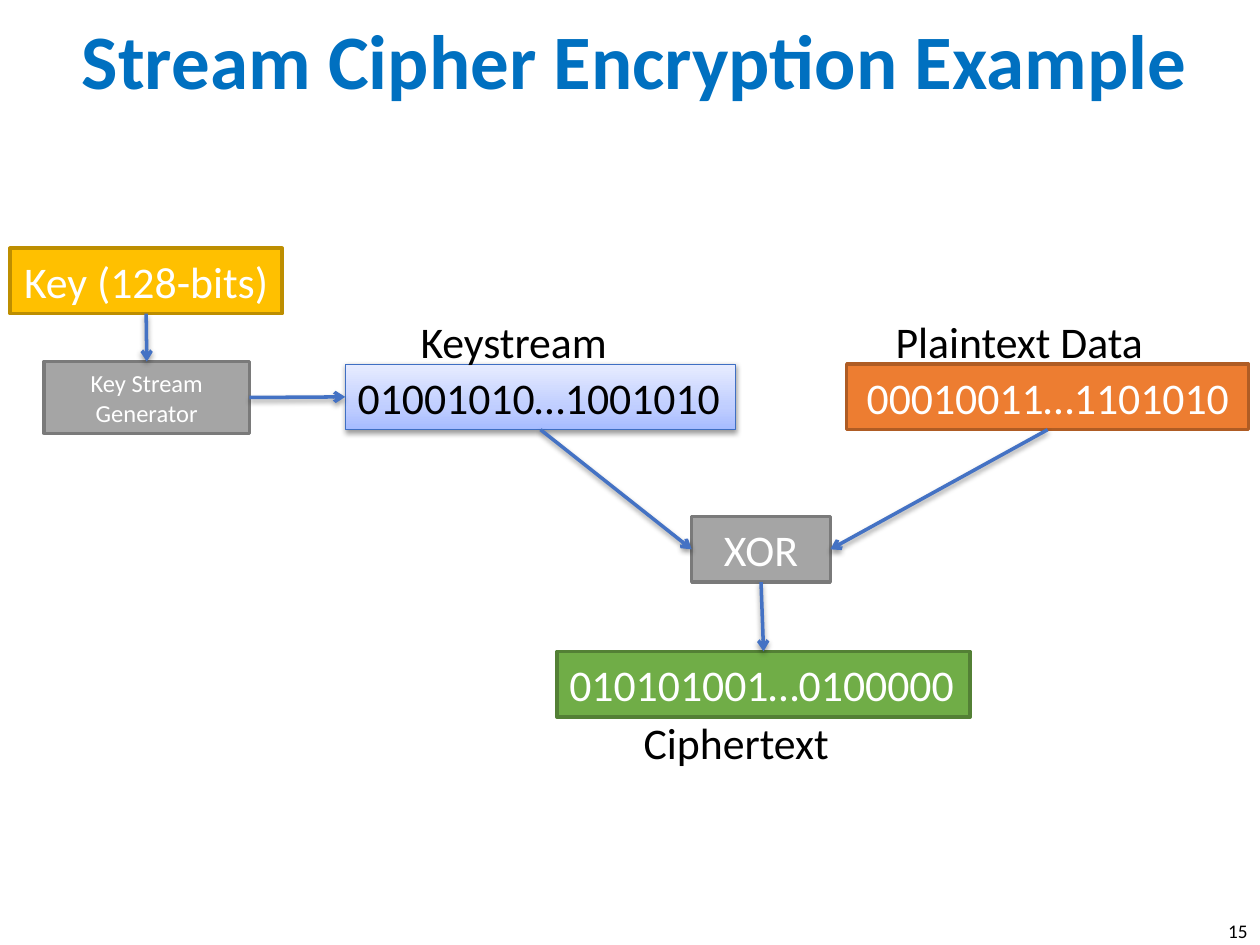
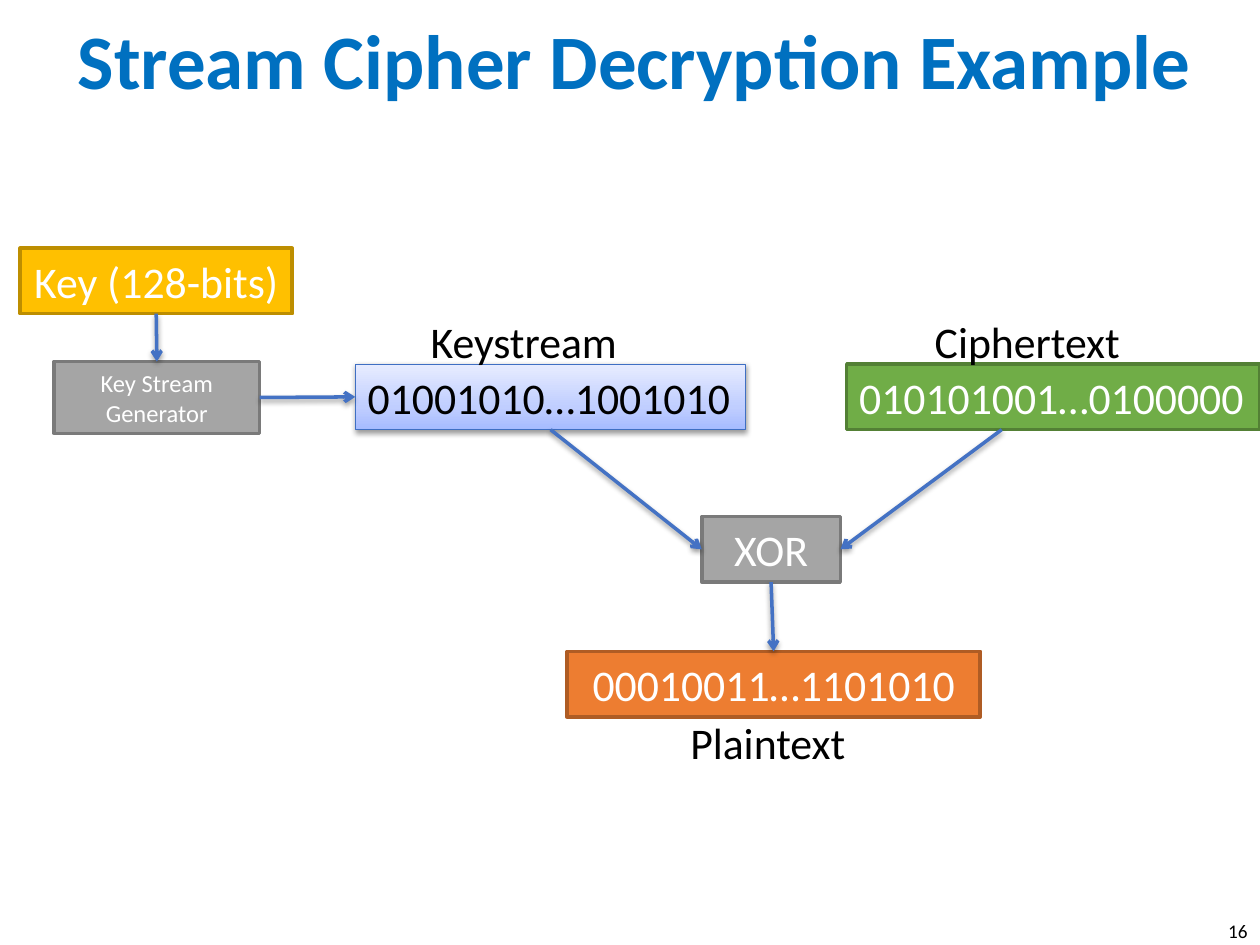
"""Build two slides that show a stream cipher encrypting and decrypting."""
from copy import deepcopy

from lxml import etree
from pptx import Presentation
from pptx.dml.color import RGBColor
from pptx.enum.shapes import MSO_CONNECTOR, MSO_SHAPE
from pptx.enum.text import MSO_ANCHOR, MSO_AUTO_SIZE, PP_ALIGN
from pptx.oxml.ns import qn
from pptx.util import Inches, Pt

LEFT, MID, RIGHT = PP_ALIGN.LEFT, PP_ALIGN.CENTER, PP_ALIGN.RIGHT
TOP, HALF = MSO_ANCHOR.TOP, MSO_ANCHOR.MIDDLE
GROW, FIXED = MSO_AUTO_SIZE.SHAPE_TO_FIT_TEXT, MSO_AUTO_SIZE.NONE
RECT, LINE = MSO_SHAPE.RECTANGLE, MSO_CONNECTOR.STRAIGHT
ABOVE, WEST, BELOW, EAST = range(4)

WIDE, HIGH = Inches(10), Inches(7.5)
COLS, ROWS = 100, 75
BAR = 5.2
GREY, GOLD = ("A5A5A5", "7A7A7A"), ("FFC000", "BD8E00")
ORANGE, GREEN = ("ED7D31", "AF5C24"), ("70AD47", "538035")
FADE = ((0, "A6BBFF"), (0.35, "C0CEFF"), (1, "E7ECFF"))
PLAIN = dict(text="00010011…1101010", hues=ORANGE, wrap=True)
CODED = dict(text="010101001…0100000", hues=GREEN, align=LEFT)


def rgb(hue):
    return RGBColor.from_string(hue)


def write(shape, text, size=25, hue="000000", bold=False, align=LEFT,
          anchor=TOP, wrap=False, fit=GROW):
    frame = shape.text_frame
    frame.word_wrap, frame.auto_size = wrap, fit
    frame.vertical_anchor = anchor
    para = frame.paragraphs[0]
    para.alignment = align
    run = para.add_run()
    run.text = text
    font = run.font
    font.name, font.size, font.bold = "Calibri", Pt(size), bold
    font.color.rgb = rgb(hue)


def shade(shape):
    props = shape._element.spPr
    effects = props.find(qn("a:effectLst"))
    if effects is None:
        effects = etree.SubElement(props, qn("a:effectLst"))
    drop = etree.SubElement(effects, qn("a:outerShdw"), blurRad="40000",
                            dist="20000", dir="5400000", rotWithShape="0")
    tint = etree.SubElement(drop, qn("a:srgbClr"), val="000000")
    etree.SubElement(tint, qn("a:alpha"), val="38000")


class Deck:
    """Hold the style, the grid and the current slide."""

    def __init__(self):
        self.show = Presentation()
        self.show.slide_width, self.show.slide_height = WIDE, HIGH
        self.slide = None

    def place(self, x, y, w=0, h=0):
        col, row = WIDE / COLS, HIGH / ROWS
        return [round(v) for v in (x * col, y * row, w * col, h * row)]

    def page(self, title, number):
        self.slide = self.show.slides.add_slide(self.show.slide_layouts[6])
        self.label(title, 2.5, 0.2, 95.8, 8.9, size=44, hue="0070C0",
                   bold=True, align=MID, anchor=HALF, wrap=True, fit=FIXED)
        self.label(str(number), 95.8, 72.5, 4.2, 2.4, size=11, align=RIGHT,
                   wrap=True, fit=FIXED)

    def label(self, text, x, y, w, h=BAR, **form):
        box = self.slide.shapes.add_textbox(*self.place(x, y, w, h))
        write(box, text, **form)

    def panel(self, x, y, w, h, edge, thick):
        box = self.slide.shapes.add_shape(RECT, *self.place(x, y, w, h))
        box.shadow.inherit = False
        box.line.color.rgb, box.line.width = rgb(edge), Pt(thick)
        return box

    def box(self, x, y, w, h=BAR, text="", hues=GREY, align=MID, **form):
        box = self.panel(x, y, w, h, hues[1], 2)
        box.fill.solid()
        box.fill.fore_color.rgb = rgb(hues[0])
        write(box, text, hue="FFFFFF", align=align, anchor=HALF, **form)
        return box

    def stream(self, x, y, w, text):
        box = self.panel(x, y, w, BAR, "3F6FC3", 0.75)
        box.fill.gradient()
        box.fill.gradient_angle = 90
        stops = box._element.spPr.find(".//" + qn("a:gsLst"))
        stops.insert(1, deepcopy(stops[0]))
        for stop, (spot, hue) in zip(box.fill.gradient_stops, FADE):
            stop.position, stop.color.rgb = spot, rgb(hue)
        shade(box)
        write(box, text, anchor=HALF)
        return box

    def arrow(self, start, end, point=None):
        x, y = self.place(*(point or (0, 0)))[:2]
        line = self.slide.shapes.add_connector(LINE, x, y, x, y)
        if point is None:
            line.begin_connect(*start)
        line.end_connect(*end)
        line.line.color.rgb, line.line.width = rgb("4472C4"), Pt(2)
        etree.SubElement(line.line._get_or_add_ln(), qn("a:tailEnd"),
                         type="arrow")
        shade(line)

    def flow(self, shift, source, result, names, tail=None):
        maker = self.box(3.5 + shift, 28.7, 16.3, 5.7, size=14, wrap=True,
                         text="Key Stream Generator")
        key = self.box(0.8 + shift, 19.7, 21.6, text="Key (128-bits)",
                       hues=GOLD)
        keys = self.stream(27.4 + shift, 28.9, 31, "01001010…1001010")
        data = self.box(67.2, 28.9, **source)
        xor = self.box(54.9 + shift, 41, 11, text="XOR", wrap=True)
        out = self.box(44.2 + shift, 51.7, 32.8, **result)
        self.label("Keystream", 32.4 + shift, 24.5, 17)
        for name, y in zip(names, (24.5, 56.3)):
            text, x, w = name
            self.label(text, x, y, w)
        self.arrow((key, BELOW), (maker, ABOVE))
        self.arrow((maker, EAST), (keys, WEST))
        self.arrow((keys, BELOW), (xor, WEST))
        self.arrow((data, BELOW), (xor, EAST), tail)
        self.arrow((xor, BELOW), (out, ABOVE))


def main():
    deck = Deck()
    deck.page("Stream Cipher Encryption Example", 15)
    deck.flow(0, dict(PLAIN, w=31.9), CODED,
              (("Plaintext Data", 70.1, 21.9), ("Ciphertext", 50.1, 16.9)))
    deck.page("Stream Cipher Decryption Example", 16)
    deck.flow(0.8, dict(CODED, w=32.8), PLAIN,
              (("Ciphertext", 73.2, 16.9), ("Plaintext", 53.8, 14.5)),
              tail=(79.5, 34.1))
    deck.show.save("out.pptx")


if __name__ == "__main__":
    main()
